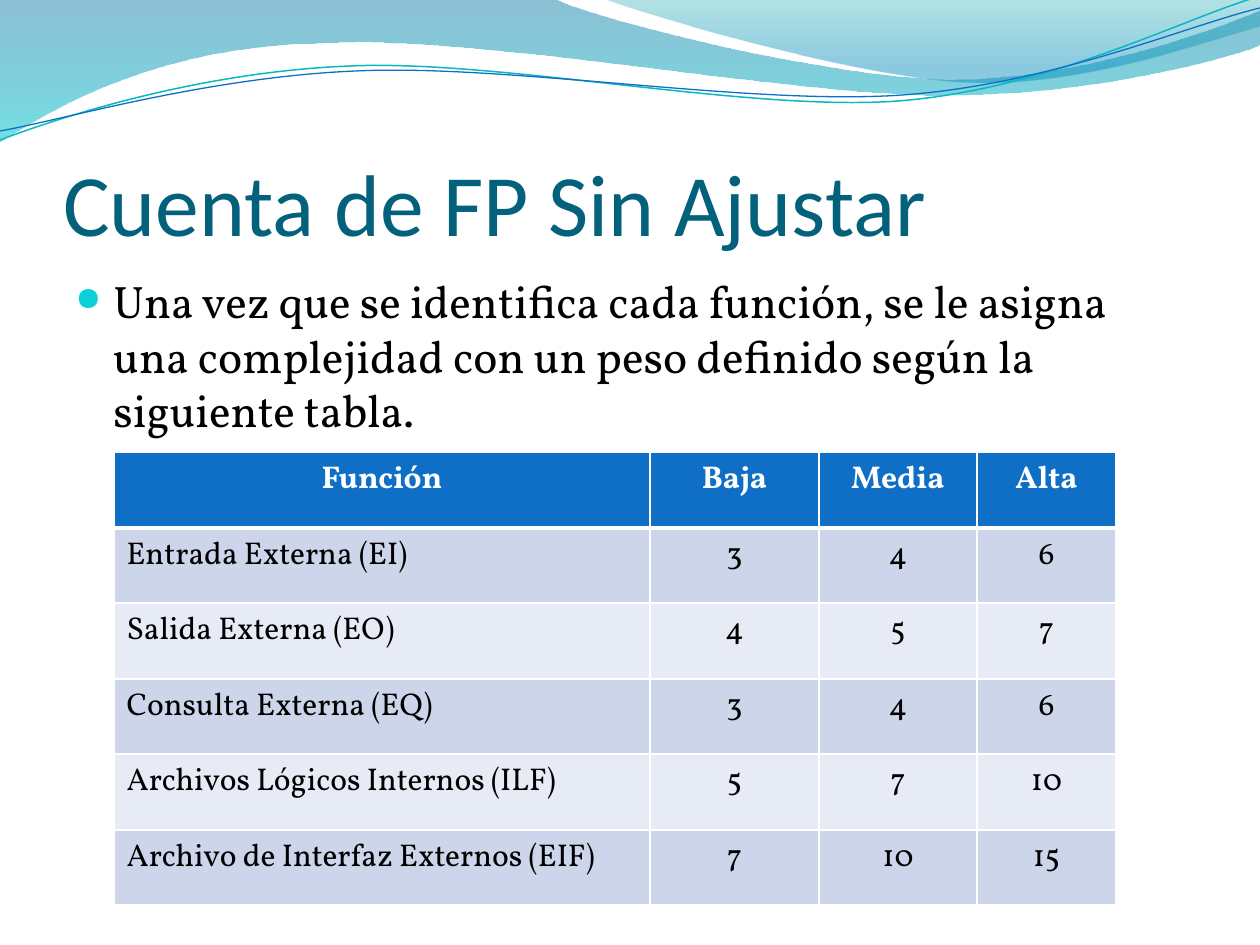
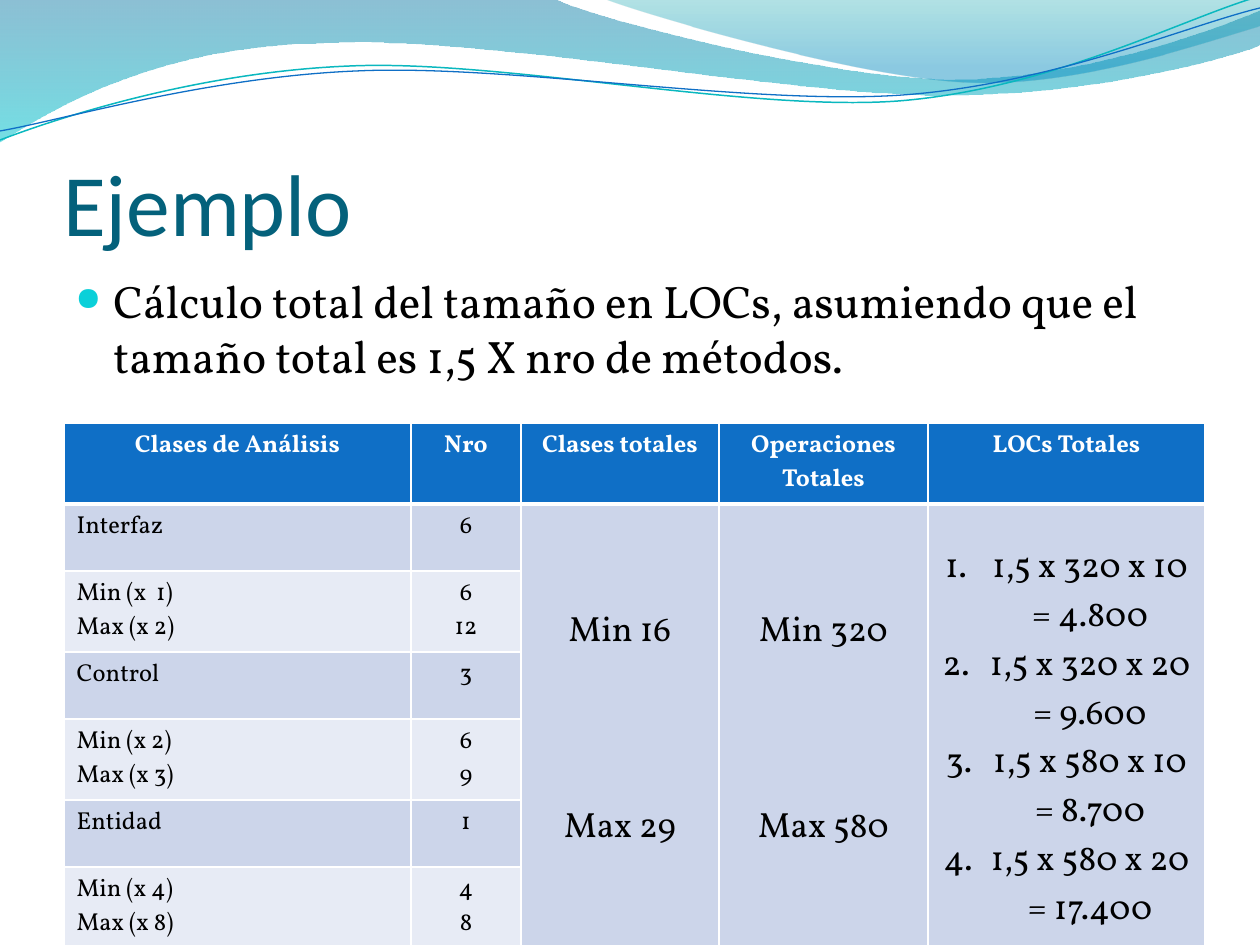
from dataclasses import dataclass

import pptx
import pptx.dml.color
import pptx.enum.text
import pptx.oxml
import pptx.oxml.ns
import pptx.util
from lxml import etree

EMU_PER_PX = 914400 / 126
qn = pptx.oxml.ns.qn
ALIGN = pptx.enum.text.PP_ALIGN


@dataclass(frozen=True)
class Theme:
    heading_font: str = "Calibri"
    body_font: str = "Vollkorn"
    heading: str = "04617B"
    text: str = "000000"
    white: str = "FFFFFF"
    bullet: str = "0BD0D9"
    header_fill: str = "0F6FC6"
    row_fills: tuple = ("CCD5EA", "E7EBF5")
    teal_line: str = "0AB8BF"
    blue_line: str = "0F6FC6"
    # Gradient stops: position, colour, opacity in percent
    wave: tuple = ((0, "0074A1", 45), (1, "00C6CF", 55))
    glow: tuple = ((0, "00A1A9", 30), (0.8, "008BBF", 45))
    heading_size: int = 50
    body_size: int = 26
    weights_size: int = 18
    result_size: int = 20
    classes_size: int = 14


THEME = Theme()

# Each step is a line end (one point) or a cubic curve (three points).
WAVE = [[(0, 0)], [(554, -1)],
        [(600, 21), (837, 79), (955, 79)], [(1075, 79), (1207, 33), (1260, 11)],
        [(1261, 45)],
        [(1239, 55), (1096, 96), (940, 95)], [(784, 95), (481, 35), (324, 43)],
        [(163, 45), (58, 105), (-1, 142)]]
GLOW = [[(604, -1)],
        [(641, 14), (859, 78), (969, 82)], [(1079, 87), (1211, 40), (1260, 26)],
        [(1260, 0)]]
TEAL_CURVE = [[(0, 140)],
              [(60, 117), (199, 72), (349, 66)], [(498, 59), (747, 112), (898, 101)],
              [(1050, 89), (1182, 19), (1257, -3)]]
BLUE_CURVE = [[(0, 131)],
              [(59, 121), (207, 77), (357, 71)], [(508, 64), (752, 106), (903, 95)],
              [(1053, 84), (1186, 26), (1260, 8)]]

WEIGHTS = [
    ["Función", "Baja", "Media", "Alta"],
    ["Entrada Externa (EI)", "3", "4", "6"],
    ["Salida Externa (EO)", "4", "5", "7"],
    ["Consulta Externa (EQ)", "3", "4", "6"],
    ["Archivos Lógicos Internos (ILF)", "5", "7", "10"],
    ["Archivo de Interfaz Externos (EIF)", "7", "10", "15"],
]
CLASSES = [
    ["Clases de Análisis", "Nro", "Clases totales", "Operaciones Totales", "LOCs Totales"],
    ["Interfaz", "6"],
    ["Min (x  1)\nMax (x 2)", "6\n12"],
    ["Control", "3"],
    ["Min (x 2)\nMax (x 3)", "6\n9"],
    ["Entidad", "1"],
    ["Min (x 4)\nMax (x 8)", "4\n8"],
]
LOC_TOTALS = "\n".join([
    "1,5 x 320 x 10 = 4.800",
    "1,5 x 320 x 20 = 9.600",
    "1,5 x 580 x 10 = 8.700",
    "1,5 x 580 x 20 = 17.400",
])


def px(length):
    return pptx.util.Emu(round(length * EMU_PER_PX))


def rgb(color):
    return pptx.dml.color.RGBColor.from_string(color)


def style_runs(paragraph, size, color, font=THEME.body_font, bold=False):
    for run in paragraph.runs:
        run.font.name = font
        run.font.size = pptx.util.Pt(size)
        run.font.color.rgb = rgb(color)
        run.font.bold = bold


def set_hanging_indent(paragraph, indent):
    properties = paragraph._p.get_or_add_pPr()
    properties.set("marL", str(px(indent)))
    properties.set("indent", str(-px(indent)))
    return properties


def add_outline(slide, steps, close):
    """Build a freeform through the step ends, then bend the curved steps."""
    start, *ends = [(px(x), px(y)) for x, y in (step[-1] for step in steps)]
    builder = slide.shapes.build_freeform(*start)
    builder.add_line_segments(ends, close=close)
    outline = builder.convert_to_shape()
    outline.shadow.inherit = False
    segments = list(outline.element.spPr.iter(qn("a:lnTo")))
    for segment, step in zip(segments, steps[1:]):
        if len(step) == 3:
            bend = etree.Element(qn("a:cubicBezTo"))
            for x, y in step:
                etree.SubElement(bend, qn("a:pt"), x=str(px(x) - outline.left),
                                 y=str(px(y) - outline.top))
            segment.getparent().replace(segment, bend)
    return outline


def add_wave(slide, steps, stops):
    wave = add_outline(slide, steps, close=True)
    wave.line.fill.background()
    wave.fill.gradient()
    wave.fill.gradient_angle = 270
    for stop, (position, color, _) in zip(wave.fill.gradient_stops, stops):
        stop.position = position
        stop.color.rgb = rgb(color)
    gradient_colors = wave.element.spPr.iter(qn("a:srgbClr"))
    for tint, (_, _, opacity) in zip(gradient_colors, stops):
        etree.SubElement(tint, qn("a:alpha"), val=str(opacity * 1000))
    return wave


def add_curve(slide, steps, color, width):
    curve = add_outline(slide, steps, close=False)
    curve.fill.background()
    curve.line.color.rgb = rgb(color)
    curve.line.width = pptx.util.Pt(width)
    return curve


def decorate_layout(layout, slide):
    """Draw the header waves once and hand them to the shared layout."""
    header = [
        add_wave(slide, WAVE, THEME.wave),
        add_wave(slide, GLOW, THEME.glow),
        add_curve(slide, TEAL_CURVE, THEME.teal_line, 0.85),
        add_curve(slide, BLUE_CURVE, THEME.blue_line, 0.75),
    ]
    for position, part in enumerate(header, start=2):
        layout.shapes.element.insert(position, part.element)


def set_title(slide, text):
    title = slide.shapes.title
    title.left, title.top, title.width, title.height = px(63), px(97), px(1134), px(157)
    frame = title.text_frame
    frame.text = text
    frame.auto_size = pptx.enum.text.MSO_AUTO_SIZE.NONE
    frame.vertical_anchor = pptx.enum.text.MSO_ANCHOR.BOTTOM
    frame.margin_left = frame.margin_right = frame.margin_bottom = 0
    frame.paragraphs[0].alignment = ALIGN.LEFT
    style_runs(frame.paragraphs[0], THEME.heading_size, THEME.heading, THEME.heading_font)


def add_statement(slide, text, height):
    statement = slide.shapes.add_textbox(px(63), px(267), px(1134), px(height))
    frame = statement.text_frame
    frame.word_wrap = True
    frame.text = text
    paragraph = frame.paragraphs[0]
    properties = set_hanging_indent(paragraph, 38)
    bullet_color = etree.SubElement(properties, qn("a:buClr"))
    etree.SubElement(bullet_color, qn("a:srgbClr"), val=THEME.bullet)
    etree.SubElement(properties, qn("a:buSzPct"), val="72000")
    etree.SubElement(properties, qn("a:buChar"), char="●")
    style_runs(paragraph, THEME.body_size, THEME.text)


def set_borders(cell, top, bottom):
    properties = cell._tc.get_or_add_tcPr()
    for side, width in (("L", 1), ("R", 1), ("T", top), ("B", bottom)):
        border = etree.SubElement(properties, qn(f"a:ln{side}"), w=str(pptx.util.Pt(width)))
        fill = etree.SubElement(border, qn("a:solidFill"))
        etree.SubElement(fill, qn("a:srgbClr"), val=THEME.white)


def fill_cell(cell, text, size, color, alignment, bold=False):
    cell.text_frame.text = text
    for paragraph in cell.text_frame.paragraphs:
        paragraph.alignment = alignment
        style_runs(paragraph, size, color, bold=bold)


def add_grid(slide, rows, left, top, widths, heights, size):
    """Add a table with a blue header and banded rows; short rows leave cells empty."""
    grid = slide.shapes.add_table(len(rows), len(widths), px(left), px(top),
                                  px(sum(widths)), px(sum(heights))).table
    for column, width in zip(grid.columns, widths):
        column.width = px(width)
    for r, row in enumerate(rows):
        grid.rows[r].height = px(heights[r])
        is_header = r == 0
        for c in range(len(widths)):
            cell = grid.cell(r, c)
            set_borders(cell, top=3 if r == 1 else 1, bottom=3 if is_header else 1)
            cell.fill.solid()
            cell.fill.fore_color.rgb = rgb(
                THEME.header_fill if is_header else THEME.row_fills[(r - 1) % 2])
            if c < len(row):
                fill_cell(cell, row[c], size, THEME.white if is_header else THEME.text,
                          ALIGN.CENTER if is_header or c else ALIGN.LEFT, is_header)
    return grid


def fill_merged_column(grid, column, text, margin_top):
    cell = grid.cell(1, column)
    cell.merge(grid.cell(len(grid.rows) - 1, column))
    fill_cell(cell, text, THEME.result_size, THEME.text, ALIGN.CENTER)
    cell.margin_top = px(margin_top)
    return cell.text_frame.paragraphs


def build_weights_slide(slide):
    set_title(slide, "Cuenta de FP Sin Ajustar")
    add_statement(slide, "Una vez que se identifica cada función, se le asigna una "
                         "complejidad con un peso definido según la siguiente tabla.", 195)
    add_grid(slide, WEIGHTS, 114, 452, [536, 169, 158, 139], [76, 75] * 3,
             THEME.weights_size)


def build_example_slide(slide):
    set_title(slide, "Ejemplo")
    add_statement(slide, "Cálculo total del tamaño en LOCs, asumiendo que el tamaño "
                         "total es 1,5 X nro de métodos.", 136)
    grid = add_grid(slide, CLASSES, 64, 423, [347, 110, 198, 209, 277],
                    [81] + [67, 81] * 3, THEME.classes_size)
    for column, limits in ((2, "Min 16\nMax 29"), (3, "Min 320\nMax 580")):
        _, maximum = fill_merged_column(grid, column, limits, 104)
        maximum.space_before = px(147)
    for total in fill_merged_column(grid, 4, LOC_TOTALS, 40):
        properties = set_hanging_indent(total, 47)
        etree.SubElement(properties, qn("a:buAutoNum"), type="arabicPeriod")


def main():
    deck = pptx.Presentation()
    deck.slide_width, deck.slide_height = px(1260), px(945)
    title_only = deck.slide_layouts[5]
    weights = deck.slides.add_slide(title_only)
    decorate_layout(title_only, weights)
    build_weights_slide(weights)
    build_example_slide(deck.slides.add_slide(title_only))
    deck.save("out.pptx")


if __name__ == "__main__":
    main()
